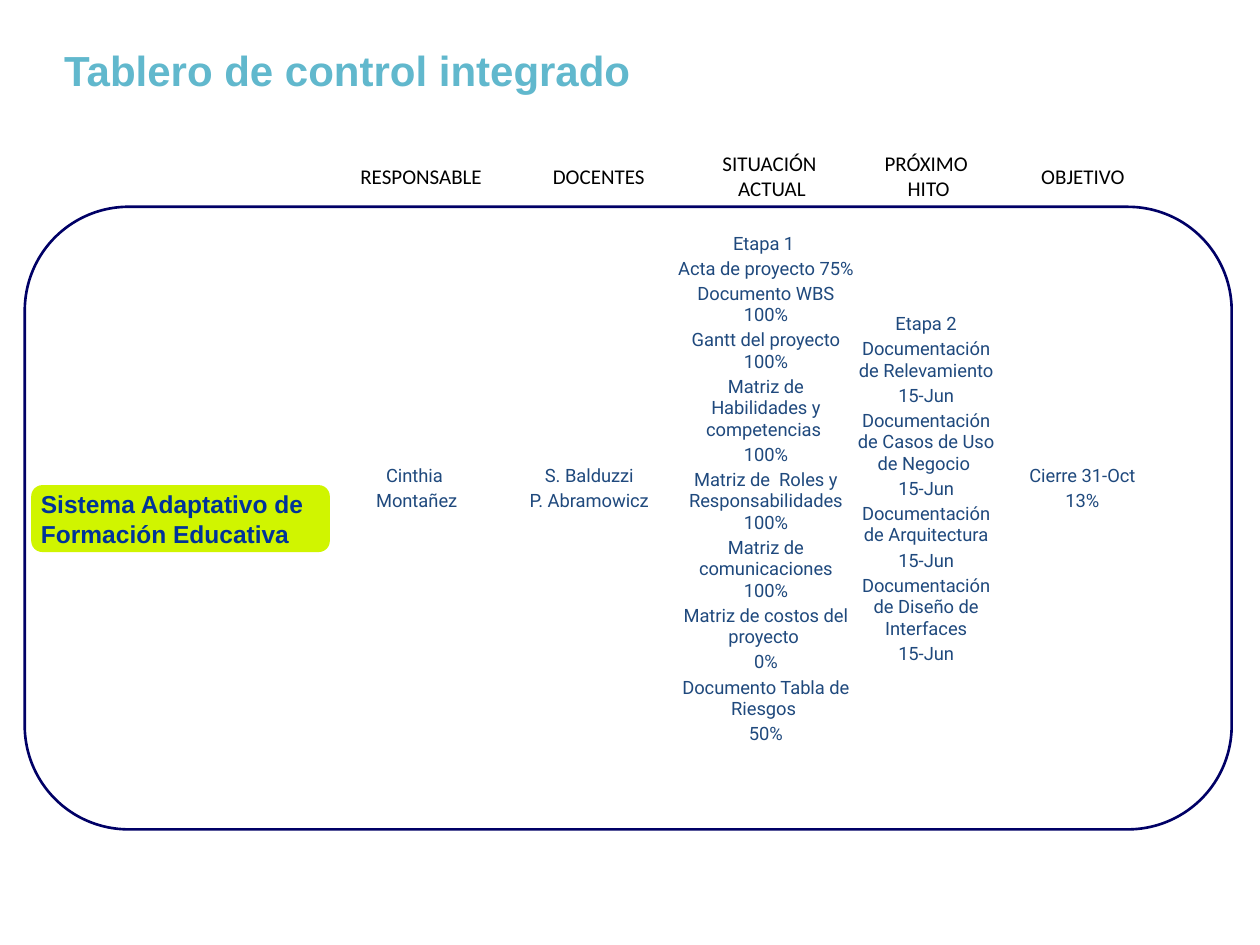
"""Build the integrated control board slide."""
from pptx import Presentation, util as u
from pptx.dml.color import RGBColor
from pptx.enum import shapes, text

COLORS = {"title": "61B8CD", "body": "1F497D", "header": "000000", "white": "FFFFFF",
          "frame": "000066", "badge": "D0F500", "project": "003399"}
TITLE = "Tablero de control integrado"
PROJECT = "Sistema Adaptativo de Formación Educativa"
HEADERS = [["RESPONSABLE"], ["DOCENTES"], ["SITUACIÓN ", "ACTUAL"],
           ["PRÓXIMO ", "HITO"], ["OBJETIVO"]]
STATUS = [
    ["Cinthia ", "Montañez"],
    ["S. Balduzzi", "P. Abramowicz"],
    ["Etapa 1 ", "Acta de proyecto 75%", "Documento WBS 100%", "Gantt del proyecto 100%",
     "Matriz de Habilidades y competencias ", "100%",
     "Matriz de  Roles y Responsabilidades 100%", "Matriz de comunicaciones 100%",
     "Matriz de costos del proyecto ", "0%", "Documento Tabla de Riesgos ", "50%"],
    ["Etapa 2", "Documentación de Relevamiento", "15-Jun",
     "Documentación de Casos de Uso de Negocio ", "15-Jun",
     "Documentación de Arquitectura", "15-Jun",
     "Documentación de Diseño de Interfaces", "15-Jun"],
    ["Cierre 31-Oct", "13%"],
]
TABLES = [
    {"cells": STATUS, "top": 4.6, "height": 10.5, "widths": [3.4, 3.56, 3.56, 2.9, 3.4],
     "font": ("Roboto", 10.5, "body"), "before": 2.1, "insets": (0, 0.1)},
    {"cells": HEADERS, "top": 2.92, "height": 1.27, "widths": [3.58, 3.58, 3.4, 2.92, 3.3],
     "font": ("Calibri", 12, "header"), "before": 0, "insets": (0.25, 0.13)},
]
TABLE_LEFT = 6.7


def color(name):
    return RGBColor.from_string(COLORS[name])


def format_text(frame, font, align, bold=False, before=0):
    name, size, tone = font
    for para in frame.paragraphs:
        para.alignment = align
        para.space_before = u.Pt(before)
        for span in para.runs:
            span.font.name = name
            span.font.size = u.Pt(size)
            span.font.bold = bold
            span.font.color.rgb = color(tone)


def set_insets(target, across, down):
    target.margin_left = target.margin_right = u.Cm(across)
    target.margin_top = target.margin_bottom = u.Cm(down)


def add_row_table(page, cells, top, height, widths, font, before, insets):
    table = page.shapes.add_table(1, len(cells), u.Cm(TABLE_LEFT), u.Cm(top),
                                  u.Cm(sum(widths)), u.Cm(height)).table
    table.first_row = table.horz_banding = False
    for column, width in zip(table.columns, widths):
        column.width = u.Cm(width)
    for cell, lines in zip(table.rows[0].cells, cells):
        cell.fill.solid()
        cell.fill.fore_color.rgb = color("white")
        cell.vertical_anchor = text.MSO_ANCHOR.MIDDLE
        set_insets(cell, *insets)
        cell.text_frame.text = "\n".join(lines)
        format_text(cell.text_frame, font, text.PP_ALIGN.CENTER, before=before)


def add_rounded_box(page, left, top, width, height):
    box = page.shapes.add_shape(shapes.MSO_SHAPE.FLOWCHART_ALTERNATE_PROCESS,
                                u.Cm(left), u.Cm(top), u.Cm(width), u.Cm(height))
    box.shadow.inherit = False
    return box


def main():
    deck = Presentation()
    deck.slide_width, deck.slide_height = u.Cm(25.4), u.Cm(19.05)
    page = deck.slides.add_slide(deck.slide_layouts[5])

    title = page.shapes.title
    title.left, title.top = u.Cm(1.04), u.Cm(0.53)
    title.width, title.height = u.Cm(22.86), u.Cm(1.75)
    title.text_frame.text = TITLE
    title.text_frame.vertical_anchor = text.MSO_ANCHOR.MIDDLE
    format_text(title.text_frame, ("Arial", 24, "title"), text.PP_ALIGN.LEFT, bold=True)

    for table in TABLES:
        add_row_table(page, **table)

    frame = add_rounded_box(page, 0.5, 4.17, 24.33, 12.55)
    frame.fill.background()
    frame.line.color.rgb = color("frame")
    frame.line.width = u.Pt(1.5)

    badge = add_rounded_box(page, 0.63, 9.78, 6.02, 1.35)
    badge.fill.solid()
    badge.fill.fore_color.rgb = color("badge")
    badge.line.fill.background()
    label = badge.text_frame
    label.text = PROJECT
    label.word_wrap = True
    label.vertical_anchor = text.MSO_ANCHOR.MIDDLE
    set_insets(label, 0.13, 0.1)
    format_text(label, ("Arial", 14, "project"), text.PP_ALIGN.LEFT, bold=True)

    deck.save("out.pptx")


if __name__ == "__main__":
    main()
